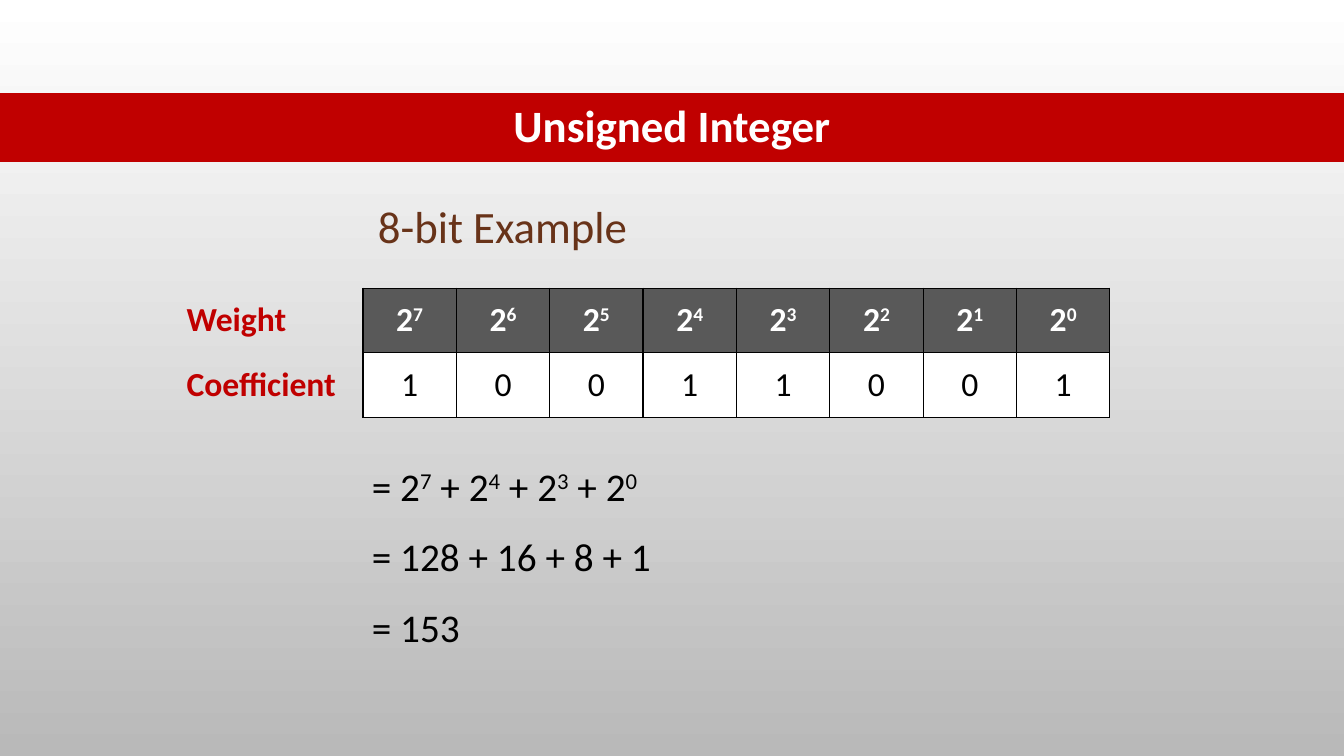
from dataclasses import dataclass

import pptx
import pptx.dml.color
import pptx.enum.text
import pptx.oxml
import pptx.oxml.ns
import pptx.util
from pptx.dml.color import RGBColor
from pptx.util import Inches

WHITE = RGBColor(0xFF, 0xFF, 0xFF)
BLACK = RGBColor(0x00, 0x00, 0x00)
RED = RGBColor(0xC0, 0x00, 0x00)
BROWN = RGBColor(0x68, 0x33, 0x19)
DARK_GRAY = RGBColor(0x59, 0x59, 0x59)
BACKDROP_GRAY = RGBColor(0xB9, 0xB9, 0xB9)

FONT = "Calibri"
PLAIN_TABLE_STYLE = "{2D5ABB26-0587-4C30-8999-92F81FD0307C}"
CENTER = pptx.enum.text.PP_ALIGN.CENTER
LEFT = pptx.enum.text.PP_ALIGN.LEFT
ALL_SIDES = ("L", "R", "T", "B")
BITS = "10011001"


@dataclass(frozen=True)
class Style:
    size: int
    color: RGBColor
    bold: bool = False


@dataclass(frozen=True)
class Piece:
    text: str
    raised: bool = False


@dataclass(frozen=True)
class Box:
    left: float
    top: float
    width: float
    height: float

    def lengths(self) -> tuple:
        return tuple(Inches(n) for n in (self.left, self.top, self.width, self.height))


TITLE = Style(32, WHITE, True)
HEADING = Style(32, BROWN)
LABEL = Style(24, RED, True)
WEIGHT = Style(24, WHITE, True)
COEFFICIENT = Style(24, BLACK)
EQUATION = Style(28, BLACK)


def power(exponent: int, prefix: str = "") -> list[Piece]:
    return [Piece(f"{prefix}2"), Piece(str(exponent), True)]


def write(paragraph, pieces: list[Piece], style: Style) -> None:
    for piece in pieces:
        run = paragraph.add_run()
        run.text = piece.text
        run.font.name = FONT
        run.font.size = pptx.util.Pt(style.size)
        run.font.bold = style.bold
        run.font.color.rgb = style.color
        if piece.raised:
            run._r.get_or_add_rPr().set("baseline", "30000")


def add_text(slide, box: Box, lines: list[list[Piece]], style: Style, spacing: float) -> None:
    frame = slide.shapes.add_textbox(*box.lengths()).text_frame
    frame.word_wrap = False
    frame.auto_size = pptx.enum.text.MSO_AUTO_SIZE.SHAPE_TO_FIT_TEXT
    for index, pieces in enumerate(lines):
        paragraph = frame.add_paragraph() if index else frame.paragraphs[0]
        paragraph.line_spacing = spacing
        write(paragraph, pieces, style)


def add_plain_table(slide, rows: int, columns: int, box: Box):
    table = slide.shapes.add_table(rows, columns, *box.lengths()).table
    table.first_row = False
    table.horz_banding = False
    properties = table._tbl.tblPr
    properties.find(pptx.oxml.ns.qn("a:tableStyleId")).text = PLAIN_TABLE_STYLE
    return table


def fill_cell(cell, pieces: list[Piece], style: Style, fill: RGBColor | None,
              alignment, sides: tuple = ()) -> None:
    cell.vertical_anchor = pptx.enum.text.MSO_ANCHOR.MIDDLE
    paragraph = cell.text_frame.paragraphs[0]
    paragraph.alignment = alignment
    write(paragraph, pieces, style)
    properties = cell._tc.get_or_add_tcPr()
    for side in sides:
        properties.append(pptx.oxml.parse_xml(
            f'<a:ln{side} {pptx.oxml.ns.nsdecls("a")} w="12700"><a:solidFill>'
            f'<a:srgbClr val="{BLACK}"/></a:solidFill></a:ln{side}>'))
    if fill is None:
        cell.fill.background()
    else:
        cell.fill.solid()
        cell.fill.fore_color.rgb = fill


def set_background(slide) -> None:
    fill = slide.background.fill
    fill.gradient()
    fill.gradient_angle = 270
    for stop, color, position in zip(fill.gradient_stops, (WHITE, BACKDROP_GRAY), (0, 1)):
        stop.color.rgb = color
        stop.position = position


def add_bit_table(slide) -> None:
    box = Box(1.75, 2.86, 9.26, 1.28)
    label_width = 1.85
    table = add_plain_table(slide, 2, len(BITS) + 1, box)
    table.columns[0].width = Inches(label_width)
    for column in range(1, len(BITS) + 1):
        table.columns[column].width = Inches((box.width - label_width) / len(BITS))
    for row, label in enumerate(("Weight", "Coefficient")):
        fill_cell(table.cell(row, 0), [Piece(label)], LABEL, None, LEFT, ("R",))
    for column, bit in enumerate(BITS, start=1):
        fill_cell(table.cell(0, column), power(len(BITS) - column), WEIGHT,
                  DARK_GRAY, CENTER, ALL_SIDES)
        fill_cell(table.cell(1, column), [Piece(bit)], COEFFICIENT,
                  WHITE, CENTER, ALL_SIDES)


def main() -> None:
    presentation = pptx.Presentation()
    presentation.slide_width = Inches(13.33)
    presentation.slide_height = Inches(7.5)
    slide = presentation.slides.add_slide(presentation.slide_layouts[6])
    set_background(slide)

    banner = add_plain_table(slide, 1, 1, Box(0, 0.92, 13.33, 0.69))
    fill_cell(banner.cell(0, 0), [Piece("Unsigned Integer")], TITLE, RED, CENTER)
    add_bit_table(slide)

    exponents = [len(BITS) - 1 - index for index, bit in enumerate(BITS) if bit == "1"]
    powers = [piece for index, exponent in enumerate(exponents)
              for piece in power(exponent, " + " if index else "= ")]
    values = [2 ** exponent for exponent in exponents]
    equations = [
        powers,
        [Piece("= " + " + ".join(map(str, values)))],
        [Piece(f"= {sum(values)}")],
    ]
    add_text(slide, Box(3.59, 4.3, 3.64, 2.22), equations, EQUATION, 1.5)
    add_text(slide, Box(3.65, 1.92, 2.73, 0.64), [[Piece("8-bit Example")]], HEADING, 1.0)
    presentation.save("out.pptx")


if __name__ == "__main__":
    main()
